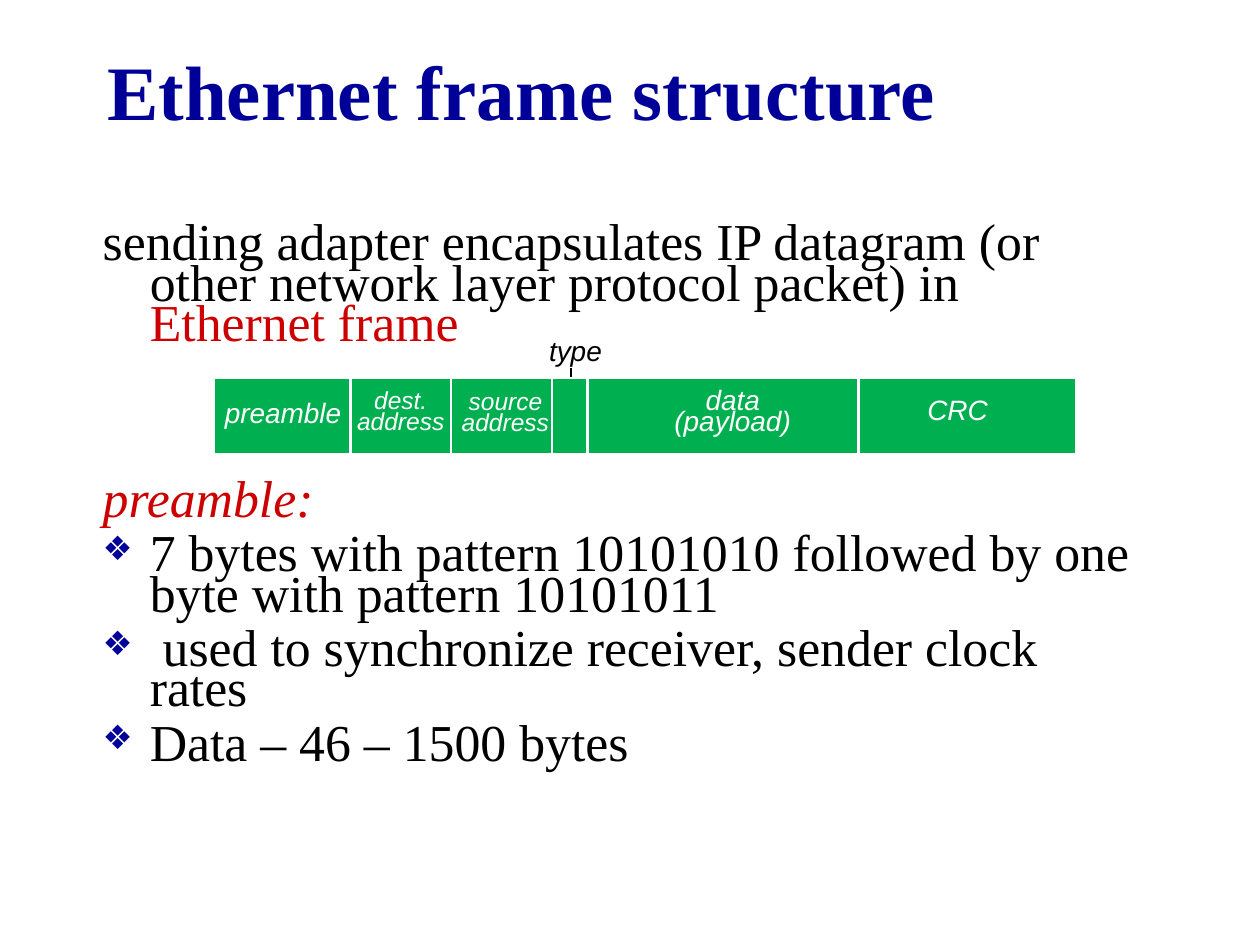
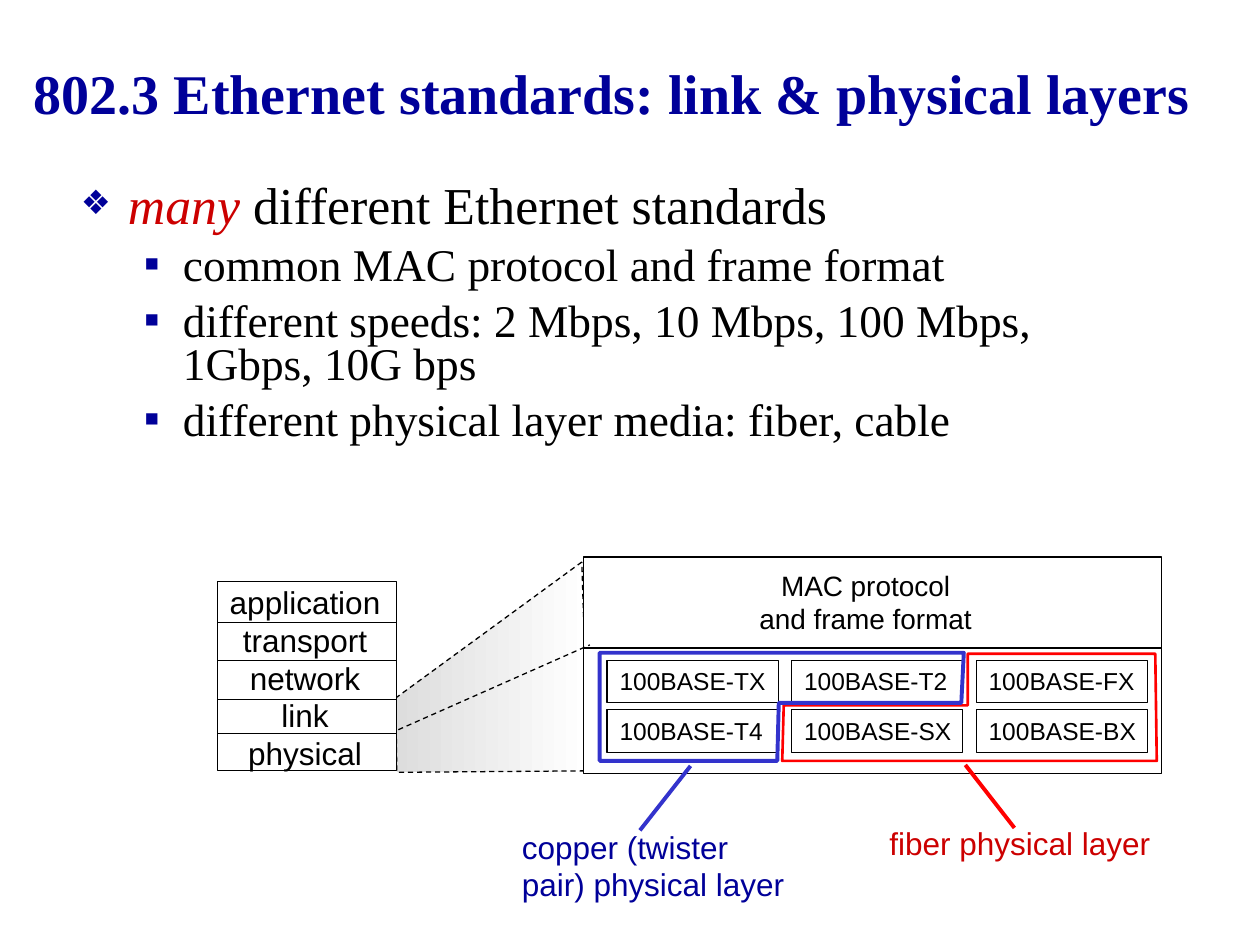
from lxml import etree
from pptx import Presentation
from pptx import util as u
from pptx.dml.color import RGBColor
from pptx.enum import dml, shapes, text
from pptx.oxml.ns import qn

NAVY = RGBColor(0x00, 0x00, 0x99)
CRIMSON = RGBColor(0xCC, 0x00, 0x00)
RED = RGBColor(0xFF, 0x00, 0x00)
BLUE = RGBColor(0x33, 0x33, 0xCC)
GREEN = RGBColor(0x00, 0xB0, 0x50)
GREY = RGBColor(0xDD, 0xDD, 0xDD)
BLACK = RGBColor(0, 0, 0)
WHITE = RGBColor(0xFF, 0xFF, 0xFF)
SERIF, SANS = "Times New Roman", "Arial"
CENTER, LEFT = text.PP_ALIGN.CENTER, text.PP_ALIGN.LEFT

DIAMOND = ("❖", 65)
SQUARE = ("▪", 100)


def cm(*values):
    return [u.Cm(v) for v in values]


def style_run(r, size, color, font=SANS, bold=False, italic=False):
    r.font.size = u.Pt(size)
    r.font.name = font
    r.font.color.rgb = color
    r.font.bold = bold
    r.font.italic = italic


def add_label(s, box, lines, size, color=BLACK, align=LEFT, italic=False, spacing=None):
    sp = s.shapes.add_textbox(*cm(*box))
    fill_label(sp, lines, size, color, align, italic, spacing)


def fill_label(sp, lines, size, color=BLACK, align=LEFT, italic=False, spacing=None, wrap=True):
    tf = sp.text_frame
    tf.text = lines
    tf.word_wrap = wrap
    tf.vertical_anchor = text.MSO_ANCHOR.TOP
    for p in tf.paragraphs:
        p.alignment = align
        if spacing:
            p.line_spacing = u.Pt(spacing)
        for r in p.runs:
            style_run(r, size, color, italic=italic)


def add_title(s, box, title, size):
    sp = s.shapes.add_textbox(*cm(*box))
    tf = sp.text_frame
    tf.text = title
    tf.word_wrap = True
    tf.vertical_anchor = text.MSO_ANCHOR.MIDDLE
    style_run(tf.paragraphs[0].runs[0], size, NAVY, SERIF, bold=True)


def add_bullet(pPr, char, percent):
    color = etree.SubElement(pPr, qn("a:buClr"))
    etree.SubElement(color, qn("a:srgbClr"), val=str(NAVY))
    etree.SubElement(pPr, qn("a:buSzPct"), val=str(percent * 1000))
    etree.SubElement(pPr, qn("a:buFont"), typeface=SANS)
    etree.SubElement(pPr, qn("a:buChar"), char=char)


def add_body(s, box, spacing, items):
    tf = s.shapes.add_textbox(*cm(*box)).text_frame
    tf.word_wrap = True
    for i, (level, before, bullet, runs) in enumerate(items):
        p = tf.paragraphs[0] if i == 0 else tf.add_paragraph()
        p.level = level
        p.line_spacing = spacing
        p.space_before = u.Pt(before)
        margin, hang, size = [(0.95, 0.95, 29.6), (2.06, 0.79, 25.9)][level]
        pPr = p._p.get_or_add_pPr()
        pPr.set("marL", str(u.Cm(margin)))
        pPr.set("indent", str(-u.Cm(hang)))
        if bullet:
            add_bullet(pPr, *bullet)
        for words, color, italic in runs:
            r = p.add_run()
            r.text = words
            style_run(r, size, color, SERIF, italic=italic)


def set_line(sp, color, width, dashed=False):
    sp.line.color.rgb = color
    sp.line.width = u.Pt(width)
    if dashed:
        sp.line.dash_style = dml.MSO_LINE.DASH


def add_rect(s, box, fill=None, line=BLACK):
    sp = s.shapes.add_shape(shapes.MSO_SHAPE.RECTANGLE, *cm(*box))
    sp.shadow.inherit = False
    if fill is None:
        sp.fill.background()
    else:
        sp.fill.solid()
        sp.fill.fore_color.rgb = fill
    set_line(sp, line, 0.75)
    return sp


def add_line(s, ends, color=BLACK, width=0.75, dashed=False):
    c = s.shapes.add_connector(shapes.MSO_CONNECTOR.STRAIGHT, *cm(*ends))
    set_line(c, color, width, dashed)
    etree.SubElement(c._element.spPr, qn("a:effectLst"))


def add_outline(s, points, color, width, dashed=False):
    start, *rest = [cm(*point) for point in points]
    fb = s.shapes.build_freeform(*start)
    fb.add_line_segments(rest, close=True)
    sp = fb.convert_to_shape()
    sp.shadow.inherit = False
    sp.fill.background()
    set_line(sp, color, width, dashed)
    return sp


def draw_frame_fields(s):
    top, bottom = 7.62, 9.14
    add_line(s, (11.51, 7.42, 11.51, top))
    add_rect(s, (4.32, top, 17.37, bottom - top), GREEN, WHITE)
    for x in (7.06, 9.09, 11.13, 11.84, 17.3):
        add_line(s, (x, top, x, bottom), WHITE, 1.5)
    fields = [
        ((6.91, 7.8, 2.34, 1.12), "dest.\naddress", 14),
        ((9.02, 7.82, 2.34, 1.12), "source\naddress", 14),
        ((12.85, 7.85, 3.84, 1.12), "data (payload)", 16),
        ((18.11, 8.05, 2.39, 0.69), "CRC", 16),
        ((4.22, 8.1, 2.97, 0.69), "preamble", 16),
    ]
    for box, name, size in fields:
        add_label(s, box, name, size, WHITE, CENTER, italic=True, spacing=12)
    add_label(s, (10.82, 6.6, 2.13, 0.94), "type", 16, italic=True)


def draw_layer_stack(s):
    left, right = 4.39, 8.0
    add_rect(s, (left, 11.73, right - left, 3.81), WHITE)
    add_label(s, (4.05, 11.63, 4.2, 4.06),
              "application\ntransport\nnetwork\nlink\nphysical", 18, align=CENTER)
    for y in (12.55, 13.31, 14.1, 14.79):
        add_line(s, (left, y, right, y))
    for x in (left, right):
        add_line(s, (x, 15.0, x, 15.47), dashed=True)


def draw_zoom_wedge(s):
    wedge = add_outline(s, [(11.73, 11.33), (7.98, 14.07), (8.0, 15.57), (11.86, 15.54)],
                        BLACK, 0.75, dashed=True)
    wedge.fill.gradient()
    wedge.fill.gradient_angle = 0
    for stop, color in zip(wedge.fill.gradient_stops, (GREY, WHITE)):
        stop.color.rgb = color


def draw_mac_panel(s):
    add_rect(s, (11.76, 11.23, 11.66, 4.37), WHITE)
    add_line(s, (11.76, 13.06, 23.42, 13.06))
    add_label(s, (14.75, 11.33, 5.4, 1.63), "MAC protocol\nand frame format", 16, align=CENTER)
    add_line(s, (8.03, 14.71, 11.89, 13.0), dashed=True)
    standards = [("100BASE-TX", "100BASE-T2", "100BASE-FX"),
                 ("100BASE-T4", "100BASE-SX", "100BASE-BX")]
    for row, names in enumerate(standards):
        for col, name in enumerate(names):
            sp = add_rect(s, (12.24 + 3.72 * col, 13.31 + row, 3.45, 0.86))
            fill_label(sp, name, 14, wrap=False)


def draw_media_groups(s):
    add_outline(s, [(19.51, 13.18), (19.51, 14.22), (15.8, 14.22),
                    (15.77, 15.34), (23.32, 15.34), (23.29, 13.18)], RED, 1.5)
    add_line(s, (19.46, 15.42, 20.45, 16.69), RED, 2.25)
    add_label(s, (17.68, 16.48, 6.4, 1.02), "fiber physical layer", 18, CRIMSON)
    add_outline(s, [(19.43, 13.16), (19.38, 14.17), (15.7, 14.17),
                    (15.67, 15.34), (12.09, 15.34), (12.09, 13.16)], BLUE, 2.25)
    add_line(s, (13.92, 15.44, 12.9, 16.74), BLUE, 2.25)
    add_label(s, (10.27, 16.56, 6.4, 1.78), "copper (twister\npair) physical layer", 18, NAVY)


def build_frame_slide(s):
    add_title(s, (1.91, 0.95, 21.59, 1.7), "Ethernet frame structure", 44)
    notes = ["7 bytes with pattern 10101010 followed by one byte with pattern 10101011",
             " used to synchronize receiver, sender clock rates",
             "Data – 46 – 1500 bytes"]
    intro = "sending adapter encapsulates IP datagram (or other network layer protocol packet) in "
    add_body(s, (1.82, 4.48, 21.59, 12.07), 0.65, [
        (0, 8, None, [(intro, BLACK, False), ("Ethernet frame", CRIMSON, False)]),
        (0, 77.5, None, [("preamble:", CRIMSON, True)]),
        *[(0, 8, DIAMOND, [(note, BLACK, False)]) for note in notes],
    ])
    draw_frame_fields(s)


def build_standards_slide(s):
    add_title(s, (0.43, 0.26, 24.21, 3.18),
              "802.3 Ethernet standards: link & physical layers", 32)
    details = ["common MAC protocol and frame format",
               "different speeds: 2 Mbps, 10 Mbps, 100 Mbps, 1Gbps, 10G bps",
               "different physical layer media: fiber, cable"]
    add_body(s, (1.38, 3.6, 21.59, 5.84), 0.8, [
        (0, 8, DIAMOND, [("many ", CRIMSON, True),
                         ("different Ethernet standards", BLACK, False)]),
        *[(1, 7, SQUARE, [(detail, BLACK, False)]) for detail in details],
    ])
    draw_zoom_wedge(s)
    draw_layer_stack(s)
    draw_mac_panel(s)
    draw_media_groups(s)


def main():
    prs = Presentation()
    prs.slide_width, prs.slide_height = cm(25.4, 19.05)
    for build in (build_frame_slide, build_standards_slide):
        build(prs.slides.add_slide(prs.slide_layouts[6]))
    prs.save("out.pptx")


if __name__ == "__main__":
    main()
